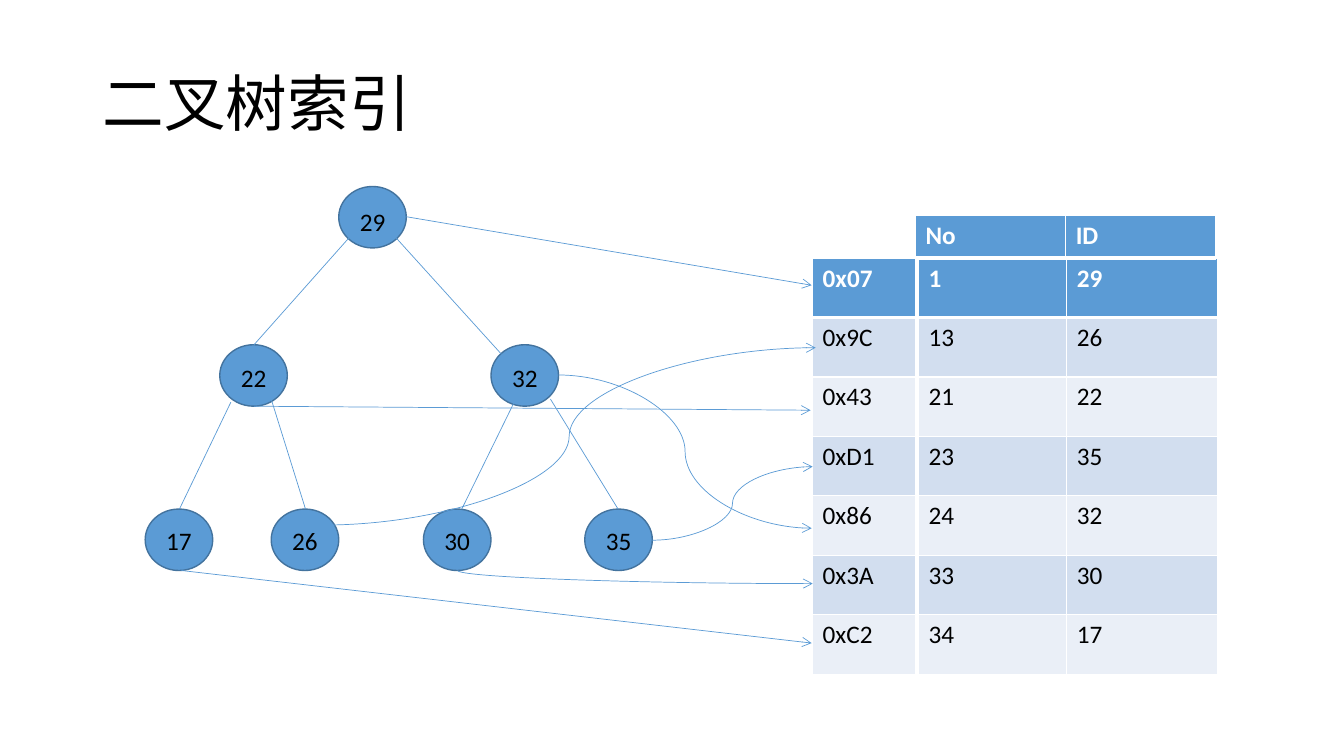
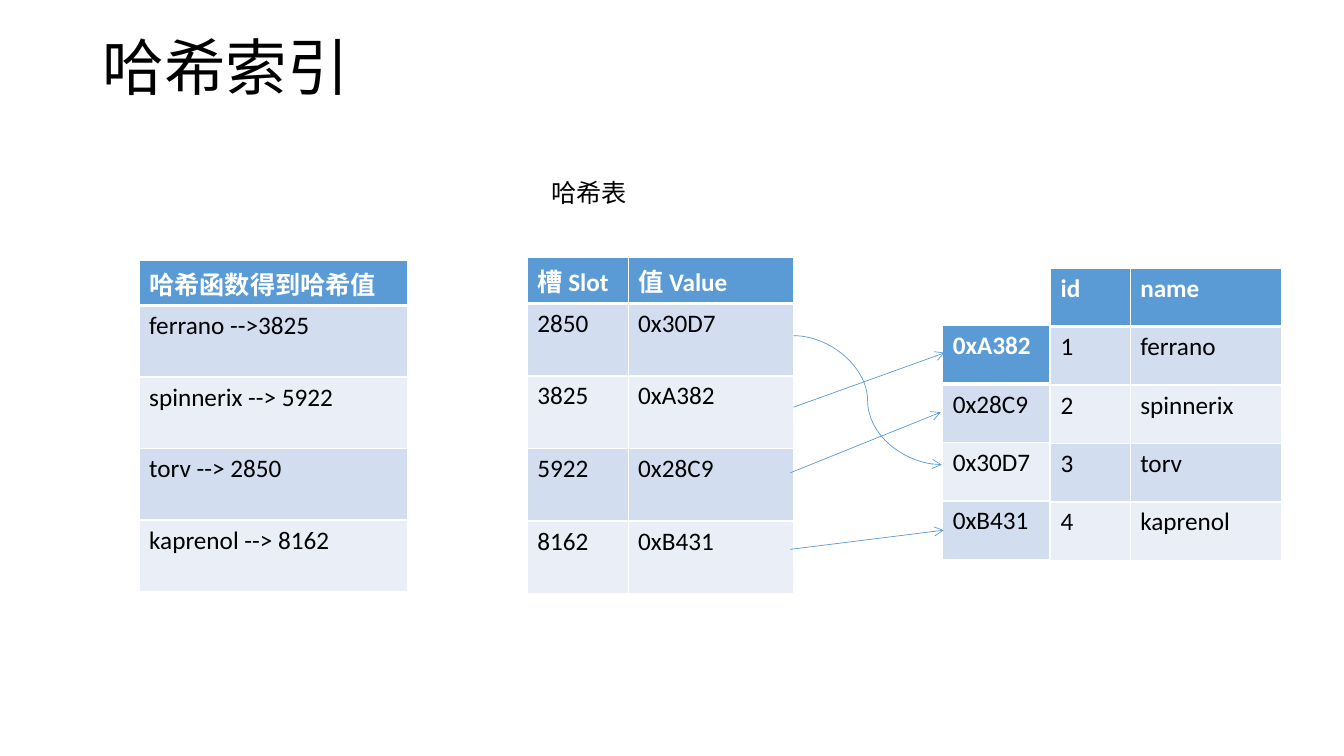
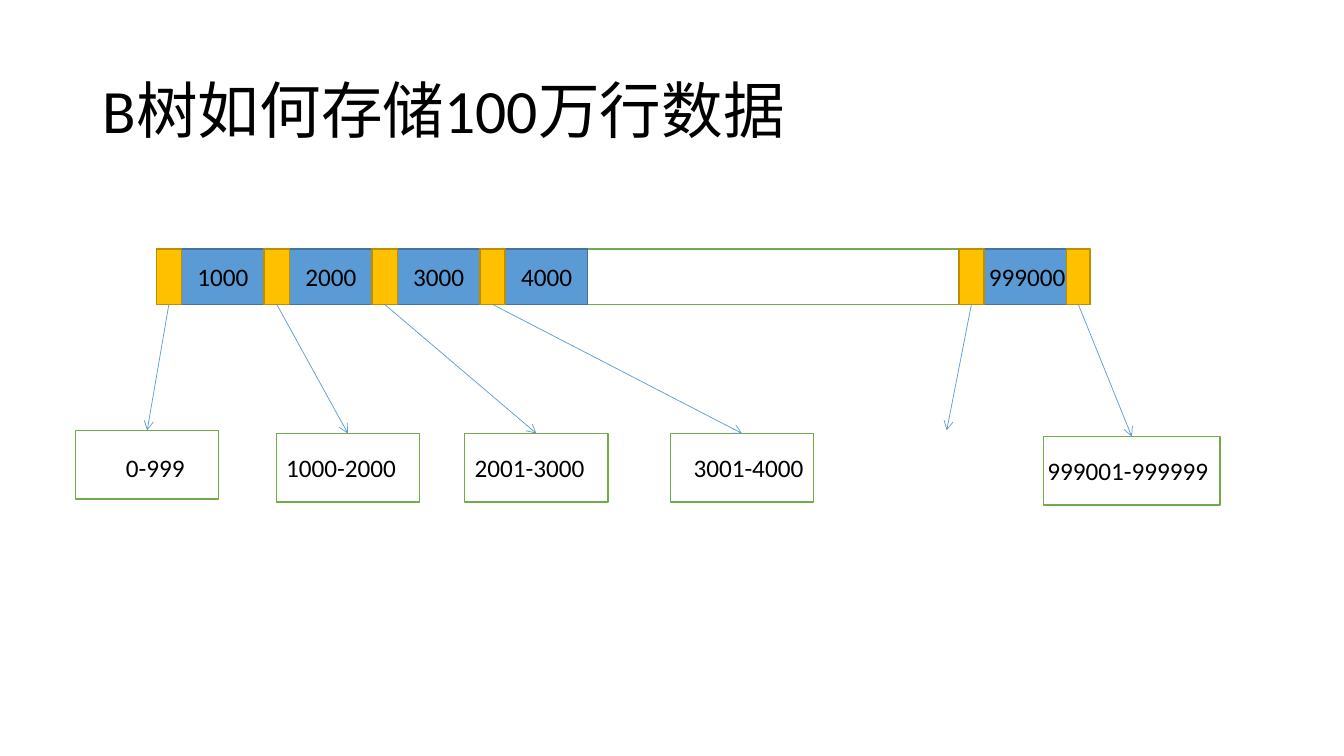
from lxml.etree import SubElement
from pptx import Presentation
from pptx.dml.color import RGBColor
from pptx.enum.shapes import MSO_CONNECTOR, MSO_SHAPE
from pptx.enum.text import MSO_ANCHOR
from pptx.oxml.ns import qn
from pptx.util import Inches, Pt

COLORS = {
    "text": "000000",
    "white": "FFFFFF",
    "blue": "5B9BD5",
    "blue_edge": "43739E",
    "band_dark": "D2DEEF",
    "band_light": "EAEFF7",
    "green": "70AD47",
    "gold": "FFC000",
    "gold_edge": "BD8E00",
}
FONT = "Calibri"


def rgb(name):
    return RGBColor.from_string(COLORS[name])


def write(frame, text, size=18, color="text", bold=False, spacing=None, anchor=None, wrap=True):
    frame.word_wrap = wrap
    if anchor is not None:
        frame.vertical_anchor = anchor
    paragraph = frame.paragraphs[0]
    if spacing:
        paragraph.line_spacing = spacing
    run = paragraph.add_run()
    run.text = text
    run.font.name = FONT
    run.font.size = Pt(size)
    run.font.bold = bold
    run.font.color.rgb = rgb(color)


class Deck:
    def __init__(self):
        self.prs = Presentation()
        self.prs.slide_width, self.prs.slide_height = Inches(13.33), Inches(7.5)
        self.shapes = None

    def slide(self, title, top, height=1.45):
        self.shapes = self.prs.slides.add_slide(self.prs.slide_layouts[6]).shapes
        self.label(title, 0.92, top, 11.5, height, size=44, spacing=0.9,
                   anchor=MSO_ANCHOR.MIDDLE)

    def label(self, text, left, top, width, height=0.4, **style):
        box = self.shapes.add_textbox(Inches(left), Inches(top), Inches(width), Inches(height))
        write(box.text_frame, text, **style)

    def box(self, left, top, width, height, fill, edge, kind=MSO_SHAPE.RECTANGLE):
        shape = self.shapes.add_shape(kind, Inches(left), Inches(top), Inches(width), Inches(height))
        shape.shadow.inherit = False
        shape.fill.solid()
        shape.fill.fore_color.rgb = rgb(fill)
        shape.line.color.rgb = rgb(edge)
        shape.line.width = Pt(1)

    def line(self, start, end, arrow=True, kind=MSO_CONNECTOR.STRAIGHT):
        points = [Inches(value) for value in (*start, *end)]
        connector = self.shapes.add_connector(kind, *points)
        connector.line.color.rgb = rgb("blue")
        connector.line.width = Pt(0.5)
        if arrow:
            SubElement(connector.line._get_or_add_ln(), qn("a:tailEnd"), type="arrow")
        SubElement(connector._element.spPr, qn("a:effectLst"))
        return connector

    def curve(self, start, end):
        return self.line(start, end, kind=MSO_CONNECTOR.CURVE)

    def quarter_curve(self, start, end):
        middle_x, middle_y = (start[0] + end[0]) / 2, (start[1] + end[1]) / 2
        half_x, half_y = (end[0] - start[0]) / 2, (end[1] - start[1]) / 2
        connector = self.curve((middle_x - half_y, middle_y + half_x),
                               (middle_x + half_y, middle_y - half_x))
        properties = connector._element.spPr
        properties.find(qn("a:xfrm")).set("rot", "5400000")
        properties.find(qn("a:prstGeom")).set("prst", "curvedConnector2")

    def table(self, left, top, widths, heights, rows):
        frame = self.shapes.add_table(len(rows), len(widths), Inches(left), Inches(top),
                                      Inches(sum(widths)), Inches(sum(heights)))
        table = frame.table
        table.horz_banding = False
        for column, width in zip(table.columns, widths):
            column.width = Inches(width)
        for r, (row, height) in enumerate(zip(rows, heights)):
            table.rows[r].height = Inches(height)
            header = r == 0
            fill = "blue" if header else ("band_light", "band_dark")[r % 2]
            for c, text in enumerate(row):
                cell = table.cell(r, c)
                self.borders(cell, header, first=c == 0)
                cell.fill.solid()
                cell.fill.fore_color.rgb = rgb(fill)
                write(cell.text_frame, text, color="white" if header else "text", bold=header)

    def borders(self, cell, header, first):
        widths = {"lnL": 1 if first else 0, "lnR": 1,
                  "lnT": 1 if header else 0, "lnB": 3 if header else 1}
        for side, width in widths.items():
            if width:
                edge = SubElement(cell._tc.get_or_add_tcPr(), qn(f"a:{side}"), w=str(Pt(width)))
                solid = SubElement(edge, qn("a:solidFill"))
                SubElement(solid, qn("a:srgbClr"), val=COLORS["white"])


def binary_tree(deck):
    deck.slide("二叉树索引", 0.33)
    levels = [
        (1.85, 0.15, {"29": 3.36}),
        (3.42, 0.13, {"22": 2.18, "32": 4.87}),
        (5.05, 0.11, {"17": 1.44, "26": 2.69, "30": 4.2, "35": 5.8}),
    ]
    for top, inset, nodes in levels:
        for value, left in nodes.items():
            deck.box(left, top, 0.67, 0.61, "blue", "blue_edge", MSO_SHAPE.OVAL)
            deck.label(value, left + 0.11, top + inset, 0.45, wrap=False)

    records = [("1", "29"), ("13", "26"), ("21", "22"), ("23", "35"),
               ("24", "32"), ("33", "30"), ("34", "17")]
    addresses = ["0x07", "0x9C", "0x43", "0xD1", "0x86", "0x3A", "0xC2"]
    heights = [0.59] * len(records)
    deck.table(9.11, 2.56, [1.47, 1.5], heights, records)
    deck.table(8.06, 2.56, [1.02], heights, [[address] for address in addresses])
    deck.table(9.08, 2.14, [1.49, 1.49], [0.42], [("No", "ID")])

    branches = [
        ((3.47, 2.35), (2.52, 3.42)), ((3.92, 2.35), (4.97, 3.51)),
        ((5.46, 3.96), (6.13, 5.05)), ((2.69, 3.96), (3.03, 5.05)),
        ((2.29, 3.99), (1.78, 5.05)), ((5.1, 3.99), (4.58, 5.05)),
    ]
    for parent, child in branches:
        deck.line(parent, child, arrow=False)
    deck.line((4.03, 2.15), (8.05, 2.83))
    deck.line((2.52, 4.03), (8.04, 4.07))
    deck.line((1.8, 5.66), (8.05, 6.38))
    deck.curve((5.54, 3.72), (8.05, 5.24))
    deck.curve((3.2, 5.21), (8.09, 3.45))
    deck.curve((6.47, 5.36), (8.06, 4.63))
    deck.quarter_curve((4.54, 5.66), (8.06, 5.79))


def hash_index(deck):
    deck.slide("哈希索引", 0.2, height=1)
    deck.table(10.42, 2.66, [0.79, 1.5], [0.58] * 5,
               [("id", "name"), ("1", "ferrano"), ("2", "spinnerix"),
                ("3", "torv"), ("4", "kaprenol")])
    deck.table(5.23, 2.55, [1, 1.64], [0.46] + [0.72] * 4,
               [("槽 Slot", "值 Value"), ("2850", "0x30D7"), ("3825", "0xA382"),
                ("5922", "0x28C9"), ("8162", "0xB431")])
    hashes = ["哈希函数得到哈希值", "ferrano -->3825", "spinnerix --> 5922",
              "torv --> 2850", "kaprenol --> 8162"]
    deck.table(1.38, 2.58, [2.66], [0.45] + [0.71] * 4, [[text] for text in hashes])
    addresses = ["0xA382", "0x28C9", "0x30D7", "0xB431"]
    deck.table(9.35, 3.23, [1.06], [0.58] * 4, [[address] for address in addresses])

    deck.curve((7.87, 3.33), (9.34, 4.61))
    deck.line((7.87, 4.04), (9.37, 3.5))
    deck.line((7.84, 4.69), (9.33, 4.09))
    deck.line((7.84, 5.45), (9.36, 5.26))
    deck.label("哈希表", 5.37, 1.71, 1.79)


def b_tree(deck):
    deck.slide("B树如何存储100万行数据", 0.4)
    top, height, pointer_width = 2.47, 0.55, 0.25
    deck.box(1.6, top, 9.21, height, "white", "green")

    keys = [(str(1000 * (i + 1)), 1.8 + 1.07 * i, 0.06, 0.71, False) for i in range(4)]
    keys.append(("999000", 9.76, -0.05, 1, True))
    for value, left, inset, width, wrap in keys:
        deck.box(left, top, 0.82, height, "blue", "blue_edge")
        deck.label(value, left + inset, top + 0.07, width, wrap=wrap)

    pointers = [(left - pointer_width, pointer_width) for _, left, *_ in keys]
    pointers.append((10.58, 0.23))
    for left, width in pointers:
        deck.box(left, top, width, height, "gold", "gold_edge")

    pages = [
        ("0-999", 0.75, 4.27, 1.42, 1.15, 4.44, 0.78, False),
        ("1000-2000", 2.74, 4.3, 1.42, 2.74, 4.44, 1.29, False),
        ("2001-3000", 4.61, 4.3, 1.42, 4.61, 4.44, 1.29, False),
        ("3001-4000", 6.65, 4.3, 1.42, 6.78, 4.44, 1.29, False),
        ("999001-999999", 10.35, 4.33, 1.75, 10.29, 4.47, 1.87, True),
    ]
    targets = []
    for span, left, page_top, width, label_left, label_top, label_width, wrap in pages:
        deck.box(left, page_top, width, 0.68, "white", "green")
        deck.label(span, label_left, label_top, label_width, wrap=wrap)
        targets.append((left + width / 2, page_top))
    targets.insert(4, (9.39, 4.27))
    for (left, width), target in zip(pointers, targets):
        deck.line((left + width / 2, top + height), target)


def main():
    deck = Deck()
    binary_tree(deck)
    hash_index(deck)
    b_tree(deck)
    deck.prs.save("out.pptx")


if __name__ == "__main__":
    main()
